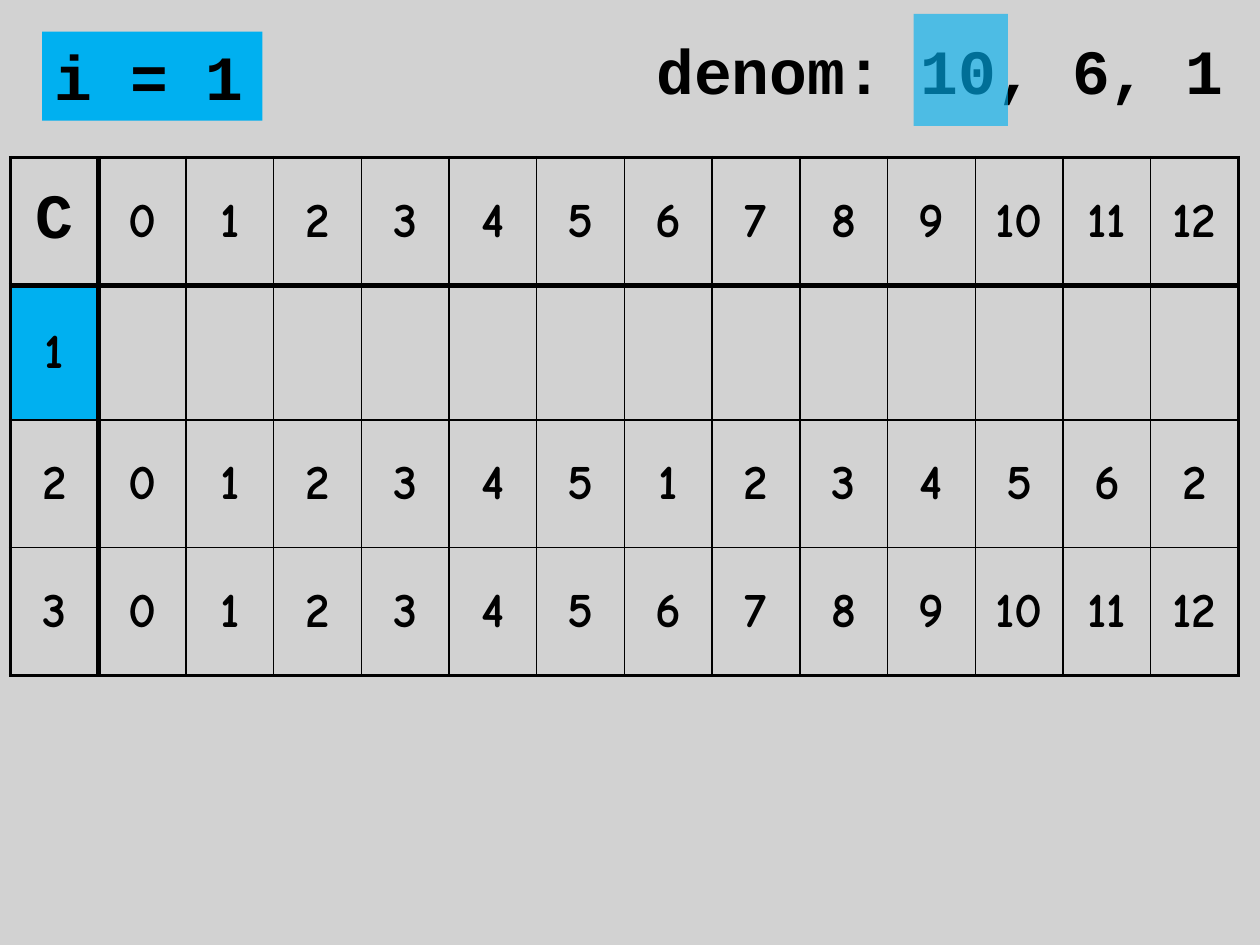
from lxml import etree
from pptx import Presentation
from pptx.dml.color import RGBColor
from pptx.enum import shapes, text
from pptx.oxml import ns
from pptx.util import Pt

BLACK = RGBColor(0, 0, 0)
GRAY = RGBColor(0xC0, 0xC0, 0xC0)
BLUE = RGBColor(0x00, 0xB0, 0xF0)
CODE_FONT = {"name": "Courier New", "size": Pt(36), "bold": True}
DIGIT_FONT = {"name": "Comic Neue", "size": Pt(28), "bold": True}

THIN, OUTER, HEADER = 1, 2.25, 3
AMOUNTS = list(range(13))
COIN_ROWS = [
    ["C", *AMOUNTS],
    [1, *[""] * len(AMOUNTS)],
    [2, 0, 1, 2, 3, 4, 5, 1, 2, 3, 4, 5, 6, 2],
    [3, *AMOUNTS],
]
ROW_HEIGHTS = [73, 77, 73, 73]
CURRENT_ROW = 1


def format_font(font, values):
    for name, value in values.items():
        setattr(font, name, value)
    font.color.rgb = BLACK


def add_panel(slide, box, color, opacity=100):
    """Add a borderless rectangle; opacity is in percent."""
    panel = slide.shapes.add_shape(shapes.MSO_SHAPE.RECTANGLE, *map(Pt, box))
    panel.shadow.inherit = False
    panel.line.fill.background()
    panel.fill.solid()
    panel.fill.fore_color.rgb = color
    if opacity < 100:
        color_element = panel.fill._xPr.find(".//" + ns.qn("a:srgbClr"))
        etree.SubElement(color_element, ns.qn("a:alpha"), val=str(opacity * 1000))
    return panel


def write_code(shape, wording, wrap):
    frame = shape.text_frame
    frame.word_wrap = wrap
    frame.auto_size = text.MSO_AUTO_SIZE.SHAPE_TO_FIT_TEXT
    frame.vertical_anchor = text.MSO_ANCHOR.TOP
    paragraph = frame.paragraphs[0]
    paragraph.alignment = text.PP_ALIGN.LEFT
    run = paragraph.add_run()
    run.text = wording
    format_font(run.font, CODE_FONT)


def set_borders(cell, widths):
    properties = cell._tc.get_or_add_tcPr()
    for side in "LRTB":
        line = etree.SubElement(properties, ns.qn("a:ln" + side), w=str(Pt(widths[side])))
        fill = etree.SubElement(line, ns.qn("a:solidFill"))
        etree.SubElement(fill, ns.qn("a:srgbClr"), val=str(BLACK))


def edge_width(index, count):
    """Width of the grid line before the given row or column."""
    if index in (0, count):
        return OUTER
    return HEADER if index == 1 else THIN


def add_coin_table(slide, left, top, width):
    row_count, column_count = len(COIN_ROWS), len(COIN_ROWS[0])
    frame = slide.shapes.add_table(
        row_count, column_count, Pt(left), Pt(top), Pt(width), Pt(sum(ROW_HEIGHTS))
    )
    table = frame.table
    table.first_row = table.horz_banding = False
    for column in table.columns:
        column.width = Pt(width / column_count)
    for r, (height, values) in enumerate(zip(ROW_HEIGHTS, COIN_ROWS)):
        table.rows[r].height = Pt(height)
        for c, value in enumerate(values):
            cell = table.cell(r, c)
            set_borders(cell, {
                "L": edge_width(c, column_count),
                "R": edge_width(c + 1, column_count),
                "T": edge_width(r, row_count),
                "B": edge_width(r + 1, row_count),
            })
            if (r, c) == (CURRENT_ROW, 0):
                cell.fill.solid()
                cell.fill.fore_color.rgb = BLUE
            else:
                cell.fill.background()
            if value == "":
                continue
            cell.vertical_anchor = text.MSO_ANCHOR.MIDDLE
            paragraph = cell.text_frame.paragraphs[0]
            paragraph.alignment = text.PP_ALIGN.CENTER
            run = paragraph.add_run()
            run.text = str(value)
            format_font(run.font, CODE_FONT if value == "C" else DIGIT_FONT)


def add_index_label(slide, box):
    write_code(add_panel(slide, box, BLUE), "i = 1", wrap=True)


def add_denominations(slide, left, top, width, height):
    label = slide.shapes.add_textbox(*map(Pt, (left, top, width, height)))
    write_code(label, "denom: 10, 6, 1", wrap=False)
    add_panel(slide, (left + 154, top - 6.5, 54, 64), BLUE, opacity=63)


def main():
    presentation = Presentation()
    presentation.slide_width, presentation.slide_height = Pt(720), Pt(540)
    slide = presentation.slides.add_slide(presentation.slide_layouts[6])
    add_panel(slide, (0, 0, 720, 540), GRAY, opacity=70)
    add_coin_table(slide, 6, 90, 702)
    add_index_label(slide, (24, 18, 126, 51))
    add_denominations(slide, 368, 14.5, 339, 50.5)
    presentation.save("out.pptx")


if __name__ == "__main__":
    main()
